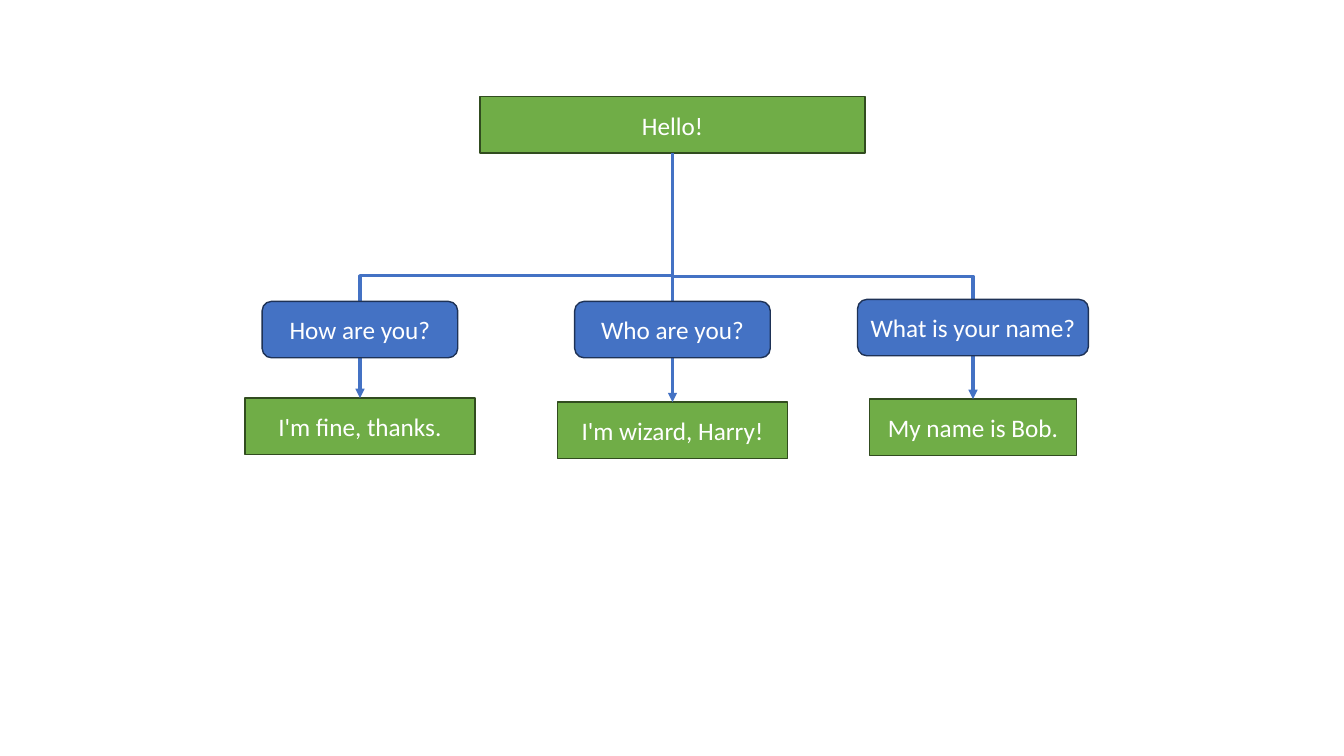
"""Build a dialogue tree: a greeting, three questions and their answers."""
from pptx import Presentation
from pptx.dml.color import RGBColor
from pptx.enum.shapes import MSO_CONNECTOR as Connector, MSO_SHAPE as Shape
from pptx.enum.text import MSO_ANCHOR as Anchor, PP_ALIGN as Align
from pptx.oxml.ns import qn
from pptx.util import Pt
from lxml.etree import SubElement

PX = 9144
BOX_HEIGHT = 56
BOTTOM_SITE, TOP_SITE = 2, 0
THEME = {
    "speech": {"shape": Shape.RECTANGLE, "fill": "70AD47", "line": "314C1F"},
    "question": {"shape": Shape.ROUNDED_RECTANGLE, "fill": "4472C4", "line": "1E3256"},
    "arrow": "4472C4",
    "text": "FFFFFF",
    "font": "Calibri",
    "text_size": Pt(18),
    "box_line": Pt(1),
    "arrow_line": Pt(2.25),
}

presentation = Presentation()
presentation.slide_width, presentation.slide_height = 1333 * PX, 750 * PX
slide = presentation.slides.add_slide(presentation.slide_layouts[6])


def add_box(kind, text, center, top, width):
    style = THEME[kind]
    left = center * PX - width * PX // 2
    shape = slide.shapes.add_shape(style["shape"], left, top * PX, width * PX, BOX_HEIGHT * PX)
    shape.shadow.inherit = False
    shape.fill.solid()
    shape.fill.fore_color.rgb = RGBColor.from_string(style["fill"])
    shape.line.color.rgb = RGBColor.from_string(style["line"])
    shape.line.width = THEME["box_line"]
    shape.text_frame.word_wrap = True
    shape.text_frame.vertical_anchor = Anchor.MIDDLE
    paragraph = shape.text_frame.paragraphs[0]
    paragraph.text = text
    paragraph.alignment = Align.CENTER
    paragraph.font.name = THEME["font"]
    paragraph.font.size = THEME["text_size"]
    paragraph.font.color.rgb = RGBColor.from_string(THEME["text"])
    return shape


def add_arrow(source, target):
    start_x, end_x = (box.left + box.width // 2 for box in (source, target))
    start_y, end_y = source.top + source.height, target.top
    run, drop = end_x - start_x, end_y - start_y
    kind = Connector.ELBOW if run else Connector.STRAIGHT
    connector = slide.shapes.add_connector(kind, start_x, start_y, end_x, end_y)
    connector.begin_connect(source, BOTTOM_SITE)
    connector.end_connect(target, TOP_SITE)
    properties = connector._element.spPr
    if run:
        frame = properties.find(qn("a:xfrm"))
        frame.attrib.pop("flipH", None)
        frame.set("rot", "5400000" if run < 0 else "16200000")
        if run > 0:
            frame.set("flipH", "1")
        connector.left = (start_x + end_x - drop) // 2
        connector.top = (start_y + end_y - abs(run)) // 2
        connector.width, connector.height = drop, abs(run)
    connector.line.color.rgb = RGBColor.from_string(THEME["arrow"])
    connector.line.width = THEME["arrow_line"]
    SubElement(properties.find(qn("a:ln")), qn("a:tailEnd"), type="triangle")
    SubElement(properties, qn("a:effectLst"))


greeting = add_box("speech", "Hello!", 667, 96, 382)
answers = [
    add_box("speech", "I'm fine, thanks.", 357, 395, 228),
    add_box("speech", "I'm wizard, Harry!", 667, 399, 228),
    add_box("speech", "My name is Bob.", 965, 396, 205),
]
for answer in answers:
    add_arrow(greeting, answer)

add_box("question", "How are you?", 357, 299, 194)
add_box("question", "Who are you?", 667, 299, 194)
add_box("question", "What is your name?", 965, 297, 229)

presentation.save("out.pptx")
